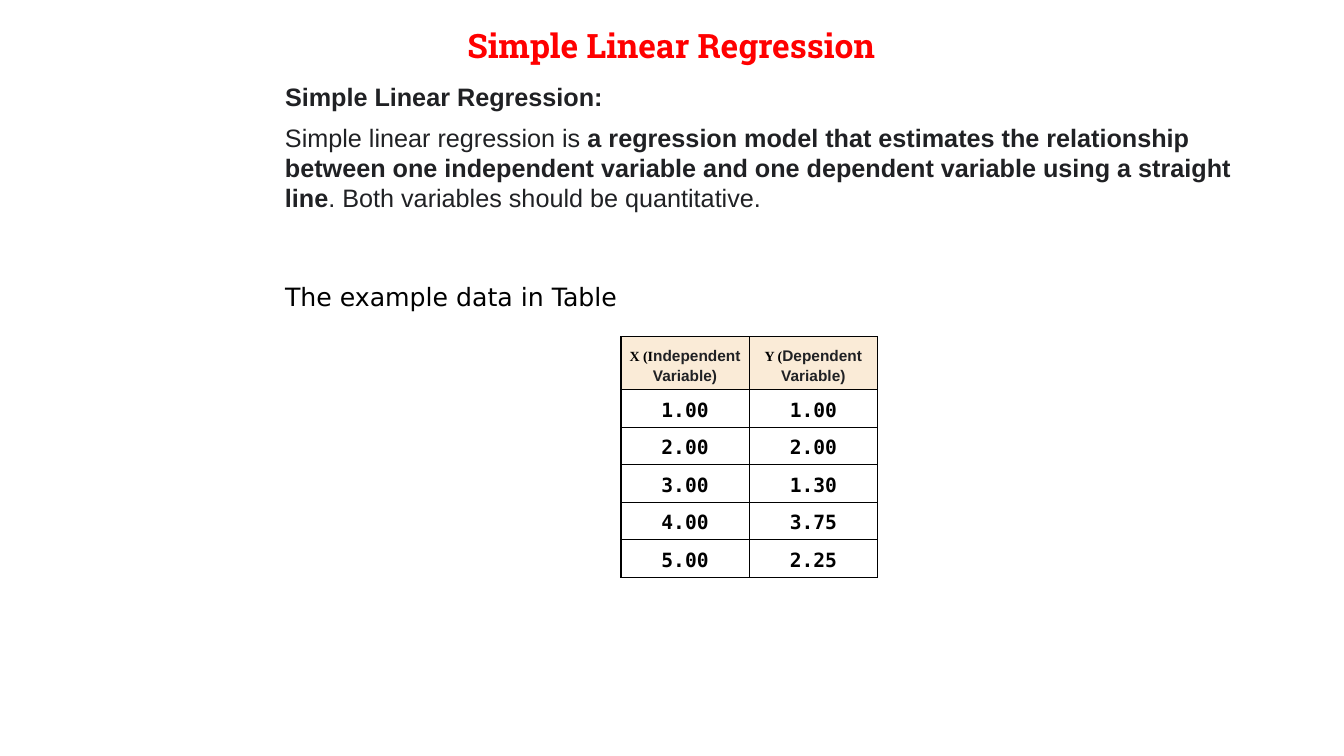
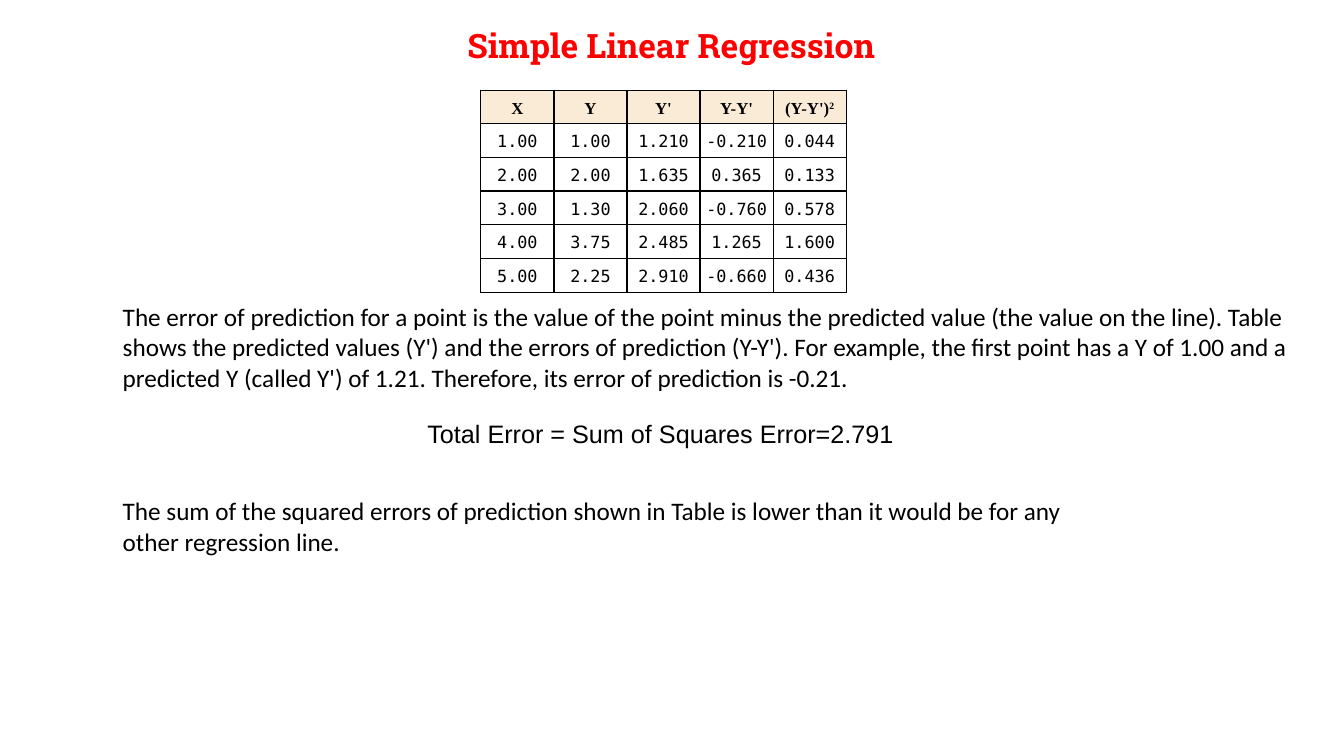
from dataclasses import dataclass, replace

from lxml.etree import SubElement as Sub
from pptx import Presentation
from pptx.dml.color import RGBColor as RGB
from pptx.enum.text import MSO_ANCHOR as Anchor, MSO_AUTO_SIZE as Fit, PP_ALIGN as Align
from pptx.oxml.ns import qn
from pptx.util import Pt


@dataclass(frozen=True)
class Face:
    """Hold the font, size, colour and weight of some text."""
    name: str
    size: float
    tint: str = "000000"
    bold: bool = False
    sup: bool = False

    def apply(self, font):
        """Give these settings to a font."""
        font.name, font.size, font.bold = self.name, Pt(self.size), self.bold
        font.color.rgb = RGB.from_string(self.tint)


class Theme:
    """Keep the colours and type styles of the deck."""
    line, head, cell = "000000", "FAEBD7", "FFFFFF"
    dark = "202124"
    title = Face("Roboto Slab", 24, "FF0000", True)
    intro = Face("Arial", 18, dark)
    strong = replace(intro, bold=True)
    label = Face("DejaVu Sans", 18)
    note = Face("Calibri", 18)
    total = Face("Arial", 18)
    var = Face("Times New Roman", 10, bold=True)
    role = Face("Arial", 11, dark, True)
    term = Face("Times New Roman", 12, bold=True)
    power = replace(term, sup=True)
    data = Face("DejaVu Sans Mono", 14, bold=True)
    small = Face("DejaVu Sans Mono", 12)


class Deck:
    """Build slides in one style."""

    def __init__(self):
        """Start an empty wide deck."""
        self.prs = Presentation()
        self.prs.slide_width, self.prs.slide_height = Pt(960), Pt(540)
        self.slide = None

    def start(self, title):
        """Add a slide with its title."""
        self.slide = self.prs.slides.add_slide(self.prs.slide_layouts[5])
        box = self.slide.shapes.title
        box.left, box.top, box.width, box.height = Pt(244.8), Pt(10), Pt(469.4), Pt(38)
        frame = box.text_frame
        frame.auto_size, frame.vertical_anchor = Fit.NONE, Anchor.TOP
        self.fill(frame, [(title, Theme.title)], Align.CENTER, 1.15)

    def fill(self, frame, runs, align=Align.LEFT, gap=1.0):
        """Write styled runs into the first paragraph."""
        para = frame.paragraphs[0]
        para.alignment, para.line_spacing = align, gap
        base = runs[0][1]
        base.apply(para.font)
        for text, face in runs:
            run = para.add_run()
            run.text = text
            if face != base:
                face.apply(run.font)
            if face.sup:
                run._r.get_or_add_rPr().set("baseline", "30000")

    def text(self, left, top, width, height, *runs):
        """Add a wrapped text box."""
        box = self.slide.shapes.add_textbox(Pt(left), Pt(top), Pt(width), Pt(height))
        box.text_frame.word_wrap = True
        self.fill(box.text_frame, runs)

    def border(self, cell):
        """Draw thin lines on all sides of a cell."""
        props = cell._tc.get_or_add_tcPr()
        for side in ("lnL", "lnR", "lnT", "lnB"):
            line = Sub(props, qn(f"a:{side}"), w=str(Pt(1)))
            Sub(Sub(line, qn("a:solidFill")), qn("a:srgbClr"), val=Theme.line)

    def table(self, left, top, col, high, row, heads, rows, face):
        """Add a ruled table with a tinted head row."""
        grid = [heads] + [[[(val, face)] for val in vals] for vals in rows]
        wide, tall = col * len(heads), high + row * len(rows)
        table = self.slide.shapes.add_table(
            len(grid), len(heads), Pt(left), Pt(top), Pt(wide), Pt(tall)).table
        table.first_row = table.horz_banding = False
        for item in table.columns:
            item.width = Pt(col)
        for r, vals in enumerate(grid):
            table.rows[r].height = Pt(row if r else high)
            for c, runs in enumerate(vals):
                cell = table.cell(r, c)
                cell.margin_left = cell.margin_right = Pt(3.6)
                cell.margin_top = cell.margin_bottom = Pt(3.6)
                cell.vertical_anchor = Anchor.MIDDLE if r else Anchor.BOTTOM
                self.border(cell)
                cell.fill.solid()
                cell.fill.fore_color.rgb = RGB.from_string(Theme.cell if r else Theme.head)
                self.fill(cell.text_frame, runs, Align.CENTER, 1.15)


def main():
    """Build and save the deck."""
    deck = Deck()
    title = "Simple Linear Regression"
    points = [("1.00", "1.00"), ("2.00", "2.00"), ("3.00", "1.30"),
              ("4.00", "3.75"), ("5.00", "2.25")]
    errors = [("1.210", "-0.210", "0.044"), ("1.635", "0.365", "0.133"),
              ("2.060", "-0.760", "0.578"), ("2.485", "1.265", "1.600"),
              ("2.910", "-0.660", "0.436")]

    deck.start(title)
    deck.text(196.5, 54.7, 300, 29, (title + ":", Theme.strong))
    deck.text(196.5, 83.5, 700, 73,
              ("Simple linear regression is ", Theme.intro),
              ("a regression model that estimates the relationship between one "
               "independent variable and one dependent variable using a straight line",
               Theme.strong),
              (". Both variables should be quantitative.", Theme.intro))
    deck.text(196.5, 197.3, 300, 29, ("The example data in Table", Theme.label))
    heads = [[("X (I", Theme.var), ("ndependent Variable)", Theme.role)],
             [("Y (", Theme.var), ("Dependent Variable)", Theme.role)]]
    deck.table(443.5, 240.5, 91.7, 38, 26.8, heads, points, Theme.data)

    deck.start(title)
    heads = [[(name, Theme.term)] for name in ("X", "Y", "Y'", "Y-Y'", "(Y-Y')")]
    heads[-1].append(("2", Theme.power))
    rows = [pair + error for pair, error in zip(points, errors)]
    deck.table(343.5, 64.5, 52.2, 23.7, 24.1, heads, rows, Theme.small)
    deck.text(80.6, 211.7, 876, 73,
              ("The error of prediction for a point is the value of the point minus the "
               "predicted value (the value on the line). Table shows the predicted values "
               "(Y') and the errors of prediction (Y-Y'). For example, the first point has "
               "a Y of 1.00 and a predicted Y (called Y') of 1.21. Therefore, its error of "
               "prediction is -0.21.", Theme.note))
    deck.text(298.2, 295.2, 360, 29,
              ("Total Error = Sum of Squares Error=2.791", Theme.total))
    deck.text(80.6, 350.6, 726, 51,
              ("The sum of the squared errors of prediction shown in Table is lower than "
               "it would be for any other regression line.", Theme.note))

    deck.prs.save("out.pptx")


if __name__ == "__main__":
    main()
